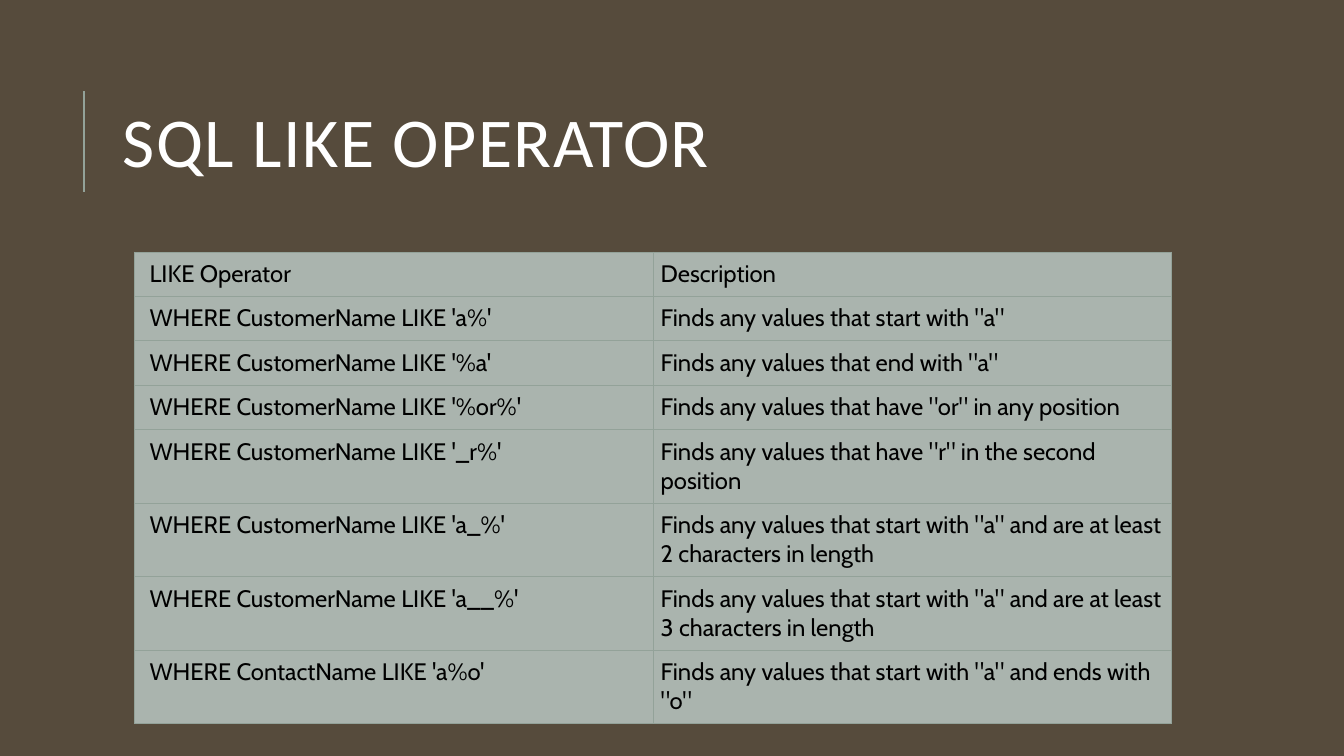
from lxml import etree
from pptx import Presentation
from pptx.dml.color import RGBColor
from pptx.enum.shapes import MSO_CONNECTOR
from pptx.enum.text import MSO_ANCHOR
from pptx.oxml.ns import qn
from pptx.util import Pt

STRAIGHT = MSO_CONNECTOR.STRAIGHT
MIDDLE = MSO_ANCHOR.MIDDLE
TOP = MSO_ANCHOR.TOP

COLORS = {
    "background": "564B3C",
    "accent": "93A299",
    "cell": "AAB4AE",
    "title": "FFFFFF",
    "text": "000000",
}
TITLE_FONT = {"name": "Calibri", "size": Pt(50), "bold": False}
CELL_FONT = {"name": "Cabin", "size": Pt(17), "bold": False}
CELL_MARGINS = {
    "margin_right": Pt(5.4),
    "margin_top": Pt(5.4),
    "margin_bottom": Pt(5.4),
    "vertical_anchor": TOP,
}
LEFT_MARGINS = [Pt(10.8), Pt(5.4)]
ONE_LINE, TWO_LINES = Pt(31.7), Pt(52.6)
ROW_HEIGHTS = [ONE_LINE] * 4 + [TWO_LINES] * 4
COLUMN_WIDTH = Pt(370.5)

ROWS = [
    ("LIKE Operator", "Description"),
    ("WHERE CustomerName LIKE 'a%'", 'Finds any values that start with "a"'),
    ("WHERE CustomerName LIKE '%a'", 'Finds any values that end with "a"'),
    ("WHERE CustomerName LIKE '%or%'", 'Finds any values that have "or" in any position'),
    ("WHERE CustomerName LIKE '_r%'", 'Finds any values that have "r" in the second position'),
    ("WHERE CustomerName LIKE 'a_%'",
     'Finds any values that start with "a" and are at least 2 characters in length'),
    ("WHERE CustomerName LIKE 'a__%'",
     'Finds any values that start with "a" and are at least 3 characters in length'),
    ("WHERE ContactName LIKE 'a%o'", 'Finds any values that start with "a" and ends with "o"'),
]


def rgb(name):
    return RGBColor.from_string(COLORS[name])


def set_attrs(obj, values):
    for name, value in values.items():
        setattr(obj, name, value)


def add_run(p, text, font, color):
    r = p.add_run()
    r.text = text
    set_attrs(r.font, font)
    r.font.color.rgb = rgb(color)
    return r


def add_accent_line(slide):
    line = slide.shapes.add_connector(STRAIGHT, Pt(60), Pt(136.8), Pt(60), Pt(64.8))
    line.line.color.rgb = rgb("accent")
    line.line.width = Pt(1.5)
    etree.SubElement(line._element.spPr, qn("a:effectLst"))


def add_title(slide, text):
    tf = slide.shapes.add_textbox(Pt(80.6), Pt(46), Pt(765.4), Pt(118)).text_frame
    set_attrs(tf, {"word_wrap": True, "vertical_anchor": MIDDLE})
    p = tf.paragraphs[0]
    p.line_spacing = 0.8
    r = add_run(p, text, TITLE_FONT, "title")
    r.font._element.set("spc", "100")


def add_borders(cell):
    tcPr = cell._tc.get_or_add_tcPr()
    for i, side in enumerate(("a:lnL", "a:lnR", "a:lnT", "a:lnB")):
        ln = etree.Element(qn(side), w=str(Pt(0.75)))
        fill = etree.SubElement(ln, qn("a:solidFill"))
        etree.SubElement(fill, qn("a:srgbClr"), val=COLORS["accent"])
        tcPr.insert(i, ln)


def fill_cell(cell, text, left_margin):
    set_attrs(cell, CELL_MARGINS)
    cell.margin_left = left_margin
    cell.fill.solid()
    cell.fill.fore_color.rgb = rgb("cell")
    add_run(cell.text_frame.paragraphs[0], text, CELL_FONT, "text")
    add_borders(cell)


def add_operator_table(slide):
    columns = len(LEFT_MARGINS)
    table = slide.shapes.add_table(
        len(ROWS), columns, Pt(96), Pt(180), COLUMN_WIDTH * columns, sum(ROW_HEIGHTS)
    ).table
    set_attrs(table, {"first_row": False, "horz_banding": False})
    for column in table.columns:
        column.width = COLUMN_WIDTH
    for row, height, texts in zip(table.rows, ROW_HEIGHTS, ROWS):
        row.height = height
        for cell, text, margin in zip(row.cells, texts, LEFT_MARGINS):
            fill_cell(cell, text, margin)


def main():
    prs = Presentation()
    set_attrs(prs, {"slide_width": Pt(960), "slide_height": Pt(540)})
    slide = prs.slides.add_slide(prs.slide_layouts[6])
    slide.background.fill.solid()
    slide.background.fill.fore_color.rgb = rgb("background")
    add_accent_line(slide)
    add_title(slide, "SQL LIKE OPERATOR")
    add_operator_table(slide)
    prs.save("out.pptx")


if __name__ == "__main__":
    main()
